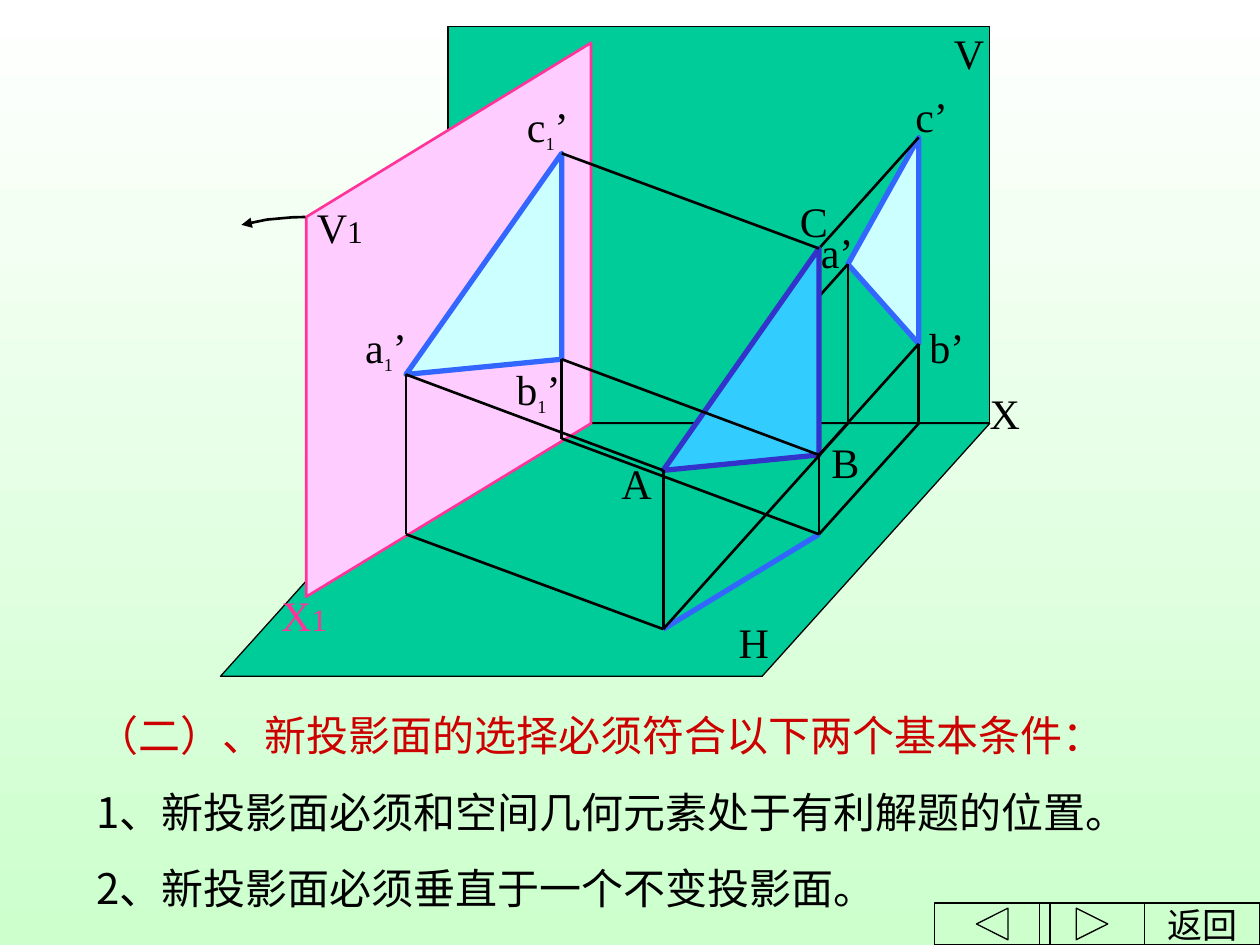
import pptx
import pptx.dml.color
import pptx.enum.shapes
import pptx.enum.text
import pptx.oxml
import pptx.oxml.ns
import pptx.util
from lxml import etree

Pt = pptx.util.Pt
LATIN, CJK = "Times New Roman", "Noto Sans CJK JP"
BLACK, GREEN, PINK = "000000", "00CC99", "FF3399"
BLUE, INDIGO, PALE = "3366FF", "3333CC", "CCFFFF"


def rgb(value):
    return pptx.dml.color.RGBColor.from_string(value)


def set_all(target, values):
    for name, value in values.items():
        setattr(target, name, value)


def add_element(parent, tag, **attributes):
    return etree.SubElement(parent, pptx.oxml.ns.qn(tag), attributes)


class Drawing:
    """Holds the text style and the slide being drawn on."""

    frame_format = {
        "word_wrap": True,
        "margin_left": Pt(7.2), "margin_right": Pt(7.2),
        "margin_top": Pt(3.6), "margin_bottom": Pt(3.6),
    }

    def __init__(self, slide):
        self.slide = slide
        self.shapes = slide.shapes

    def start_group(self):
        self.shapes = self.slide.shapes.add_group_shape().shapes

    def end_group(self):
        self.shapes = self.slide.shapes

    def background(self, top, bottom):
        fill = self.slide.background.fill
        fill.gradient()
        fill.gradient_angle = 270
        for stop, color, position in zip(fill.gradient_stops, (top, bottom), (0, 1)):
            stop.color.rgb = rgb(color)
            stop.position = position

    def outline(self, shape, color, width):
        shape.line.color.rgb = rgb(color)
        shape.line.width = Pt(width)

    def paint(self, shape, fill, color, width):
        shape.shadow.inherit = False
        if fill:
            shape.fill.solid()
            shape.fill.fore_color.rgb = rgb(fill)
        else:
            shape.fill.background()
        self.outline(shape, color, width)

    def rectangle(self, left, top, width, height, fill, color, line_width):
        shape = self.shapes.add_shape(
            pptx.enum.shapes.MSO_SHAPE.RECTANGLE,
            Pt(left), Pt(top), Pt(width), Pt(height))
        self.paint(shape, fill, color, line_width)

    def freeform(self, contours, fill, color, width, close=True):
        scaled = [[(Pt(x), Pt(y)) for x, y in contour] for contour in contours]
        builder = self.shapes.build_freeform(*scaled[0][0], scale=1.0)
        for index, contour in enumerate(scaled):
            if index:
                builder.move_to(*contour[0])
            builder.add_line_segments(contour[1:], close=close)
        shape = builder.convert_to_shape()
        self.paint(shape, fill, color, width)
        return shape

    def line(self, start, end, color=BLACK, width=1.5):
        connector = self.shapes.add_connector(
            pptx.enum.shapes.MSO_CONNECTOR.STRAIGHT,
            Pt(start[0]), Pt(start[1]), Pt(end[0]), Pt(end[1]))
        self.outline(connector, color, width)
        add_element(connector._element.spPr, "a:effectLst")

    def arrow(self, points):
        shape = self.freeform([points], None, BLACK, 1.5, close=False)
        add_element(shape.line._get_or_add_ln(), "a:tailEnd", type="triangle")

    def run(self, paragraph, text, size, color, font, baseline=0):
        run = paragraph.add_run()
        run.text = text
        set_all(run.font, {"size": Pt(size), "name": font})
        run.font.color.rgb = rgb(color)
        properties = run._r.get_or_add_rPr()
        add_element(properties, "a:ea", typeface=CJK)
        if baseline:
            properties.set("baseline", str(baseline * 1000))

    def text_box(self, left, top, width, height, paragraphs):
        """Each paragraph is a list of run settings."""
        box = self.shapes.add_textbox(Pt(left), Pt(top), Pt(width), Pt(height))
        frame = box.text_frame
        set_all(frame, self.frame_format)
        frame.auto_size = pptx.enum.text.MSO_AUTO_SIZE.SHAPE_TO_FIT_TEXT
        for index, runs in enumerate(paragraphs):
            paragraph = frame.add_paragraph() if index else frame.paragraphs[0]
            if index:
                paragraph.space_before = Pt(15)
            for settings in runs:
                self.run(paragraph, *settings)

    def label(self, left, top, width, text, color=BLACK, index="", baseline=0, prime=""):
        runs = [(text, 24, color, LATIN)]
        if index:
            runs.append((index, 18, color, LATIN, baseline))
        if prime:
            runs.append((prime, 24, color, LATIN))
        self.text_box(left, top, width, 38 if prime else 36, [runs])

    def button(self, left, width, icon=None, text=""):
        top, bottom, right = 516, 540, left + width
        contours = [[(left, top), (right, top), (right, bottom), (left, bottom)]]
        if icon:
            contours.append(icon)
        shape = self.freeform(contours, None, BLACK, 0.75)
        if text:
            frame = shape.text_frame
            set_all(frame, {**self.frame_format, "word_wrap": False,
                            "vertical_anchor": pptx.enum.text.MSO_ANCHOR.MIDDLE})
            paragraph = frame.paragraphs[0]
            paragraph.alignment = pptx.enum.text.PP_ALIGN.CENTER
            self.run(paragraph, text, 20, BLACK, LATIN)


def main():
    presentation = pptx.Presentation()
    set_all(presentation, {"slide_width": Pt(720), "slide_height": Pt(540)})
    drawing = Drawing(presentation.slides.add_slide(presentation.slide_layouts[6]))
    drawing.background("FFFFFF", "CCFFCC")

    # Conditions below the diagram
    conditions = [
        ("（二）、新投影面的选择必须符合以下两个基本条件：", "CC0000"),
        ("1、新投影面必须和空间几何元素处于有利解题的位置。", BLACK),
        ("2、新投影面必须垂直于一个不变投影面。", BLACK),
    ]
    drawing.text_box(48, 402, 612, 124,
                     [[(text, 24, color, CJK)] for text, color in conditions])

    # Points in space, then their projections on V, H and V1
    A, B, C = (379, 268.8), (468, 260), (468, 142)
    a_v, b_v, c_v = (484.5, 151), (525, 196.5), (525, 78.5)
    a_h, b_h = (379, 359.5), (468, 305.3)
    a_1, b_1, c_1 = (232, 214), (321, 205.3), (321, 87.6)
    # Feet of the projections on the axes X and X1
    a_x, b_x = (484.5, 242), (525, 242)
    a_x1, b_x1 = (232, 305.3), (321, 250.6)

    # Projection planes
    drawing.start_group()
    drawing.rectangle(256, 15, 309.6, 226.5, GREEN, BLACK, 0.75)
    drawing.freeform([[(256, 242), (126, 386.5), (435.5, 386.5), (565.6, 242)]],
                     GREEN, BLACK, 0.75)
    drawing.freeform([[(175, 341), (337.7, 242), (337.7, 24.5), (175, 124)]],
                     "FFCCFF", PINK, 1.5)

    # Triangle and its projections, with the projectors behind it
    drawing.freeform([[c_v, b_v, a_v]], PALE, BLUE, 3)
    drawing.line(c_v, C)
    drawing.line(a_v, A)
    drawing.freeform([[C, B, A]], "33CCFF", INDIGO, 3)
    drawing.freeform([[c_1, b_1, a_1]], PALE, BLUE, 3)
    drawing.line(a_h, b_h, BLUE, 3)

    # Projectors in front
    projectors = [
        (b_v, b_x), (a_v, a_x), (A, a_h), (b_x, b_h), (a_x, a_h),
        (b_v, B), (B, b_h), (a_1, a_x1), (b_1, b_x1),
        (C, c_1), (B, b_1), (A, a_1), (a_h, a_x1), (b_h, b_x1),
    ]
    for start, end in projectors:
        drawing.line(start, end)
    drawing.arrow([(174.5, 124), (167, 124.2), (158, 125), (152.5, 125.5), (138, 128.5)])

    # Labels
    for left, top, width, text in [
        (538, 12, 34.5, "V"), (348, 258, 34.5, "A"), (415, 348.5, 34.5, "H"),
        (462, 126, 42, "a’"), (450, 108, 34.5, "C"), (468, 246, 34.5, "B"),
        (516, 48, 55, "c’"), (524, 180, 55, "b’"), (558.5, 218, 41, "X"),
    ]:
        drawing.label(left, top, width, text)
    for left, top, text in [(294, 54, "c"), (288, 204, "b"), (201.6, 180, "a")]:
        drawing.label(left, top, 48, text, index="1", baseline=-25, prime="’")
    drawing.label(174, 111.6, 55, "V", index="1")
    drawing.label(153.5, 333.4, 68.4, "X", PINK, index="1")
    drawing.end_group()

    # Navigation buttons
    drawing.button(654, 66, text="返回")
    drawing.button(534, 66, icon=[(558, 528), (576, 519), (576, 537)])
    drawing.button(594, 60, icon=[(615, 519), (633, 528), (615, 537)])

    presentation.save("out.pptx")


if __name__ == "__main__":
    main()
